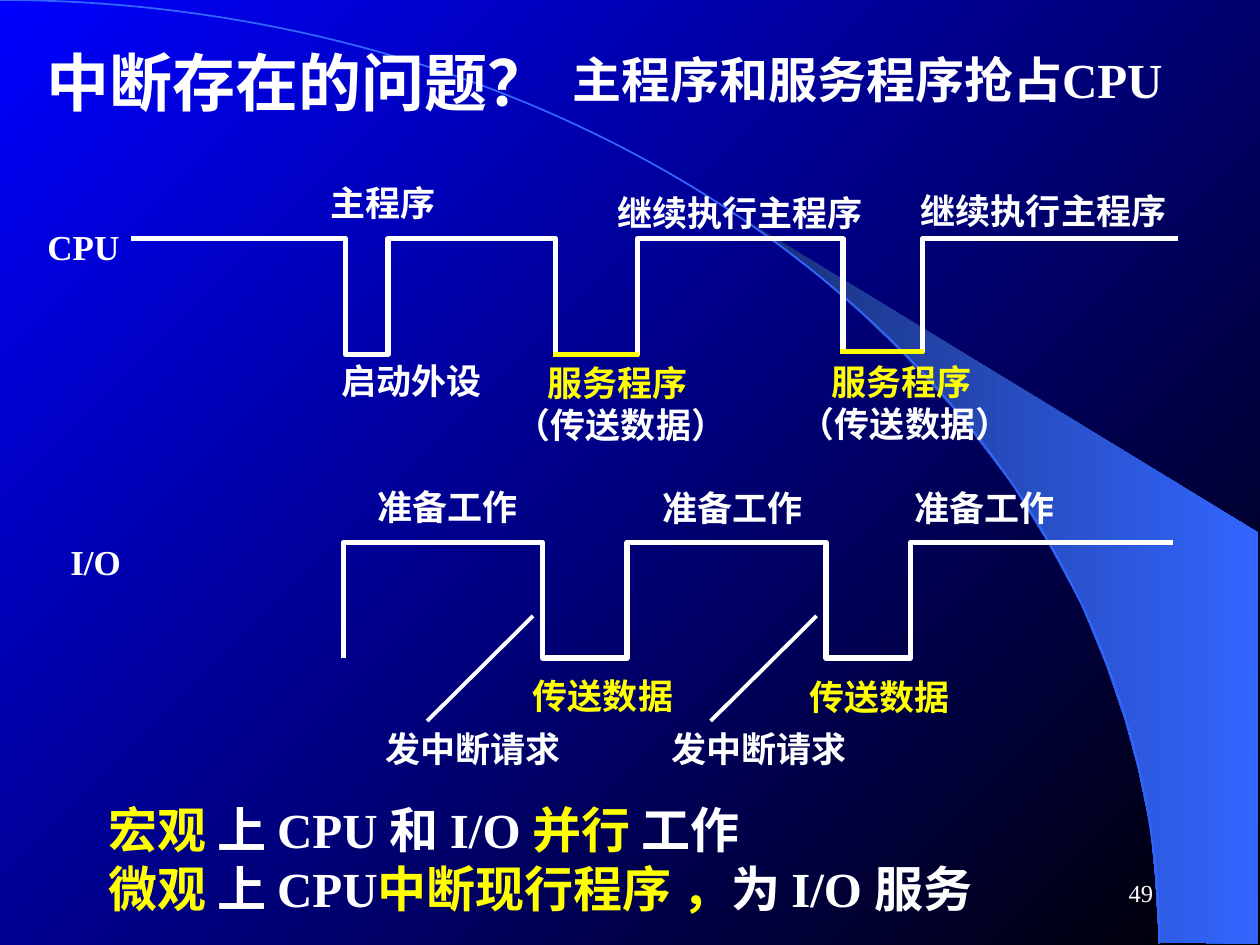
"""Build a slide on interrupts: CPU and I/O timing waveforms with labels."""
from math import cos, pi, sin

from lxml.etree import SubElement
from pptx import Presentation
from pptx.dml.color import RGBColor
from pptx.enum.shapes import MSO_CONNECTOR
from pptx.enum.text import MSO_ANCHOR, MSO_AUTO_SIZE, PP_ALIGN
from pptx.oxml.ns import qn
from pptx.util import Pt

COLORS = {
    "white": "FFFFFF", "yellow": "FFFF00", "blue": "0000FF",
    "black": "000000", "navy": "182F76", "azure": "3366FF",
}
PALETTE = {name: RGBColor.from_string(value) for name, value in COLORS.items()}
FONT = "Times New Roman"

deck = Presentation()
deck.slide_width, deck.slide_height = Pt(720), Pt(540)
page = deck.slides.add_slide(deck.slide_layouts[6])


def add_text(lines, left, top, width, height, size=20, bold=True, wrap=False,
             grow=True, align=PP_ALIGN.LEFT, anchor=MSO_ANCHOR.TOP, indents=(0, 0)):
    box = page.shapes.add_textbox(Pt(left), Pt(top), Pt(width), Pt(height))
    frame = box.text_frame
    frame.word_wrap = wrap
    frame.auto_size = MSO_AUTO_SIZE.SHAPE_TO_FIT_TEXT if grow else MSO_AUTO_SIZE.NONE
    frame.vertical_anchor = anchor
    for index, (line, indent) in enumerate(zip(lines, indents)):
        para = frame.add_paragraph() if index else frame.paragraphs[0]
        para.alignment = align
        if indent:
            para._p.get_or_add_pPr().set("marL", str(Pt(indent)))
        for text, color in line:
            span = para.add_run()
            span.text = text
            span.font.name, span.font.size, span.font.bold = FONT, Pt(size), bold
            span.font.color.rgb = PALETTE[color]


def add_outline(points, line=None, weight=1, closed=False):
    (start_x, start_y), *rest = [(Pt(x), Pt(y)) for x, y in points]
    builder = page.shapes.build_freeform(start_x, start_y)
    builder.add_line_segments(rest, close=closed)
    shape = builder.convert_to_shape()
    shape.shadow.inherit = False
    shape.fill.background()
    if line:
        shape.line.color.rgb = PALETTE[line]
        shape.line.width = Pt(weight)
    else:
        shape.line.fill.background()
    return shape


beam = add_outline([
    (662.4, 538.5), (719.3, 539.3), (719.3, 304.6), (424.1, 124.6), (449.3, 143.3),
    (470.2, 159.8), (493.2, 180), (515.5, 201.6), (548.6, 237.6), (578.2, 276.5),
    (599, 310.3), (617.8, 344.9), (632.2, 380.2), (643, 411.8), (650.2, 438.5),
    (657.4, 472.3), (660.2, 501.1),
], closed=True)
for fill, angle, stops in (
    (page.background.fill, 315, ("blue", "black")),
    (beam.fill, 0, ("navy", "azure")),
):
    fill.gradient()
    fill.gradient_angle = angle
    for stop, color in zip(fill.gradient_stops, stops):
        stop.color.rgb = PALETTE[color]

arc_steps = 90
arc_angles = [pi / 2 * step / arc_steps for step in range(arc_steps + 1)]
add_outline([(662.4 * sin(a), 539.3 * (1 - cos(a))) for a in arc_angles], "azure")

add_text([[("中断存在的问题？", "white")]], 19.4, 21.2, 663, 50.4, size=36, wrap=True)

io_high, io_low = 310, 376
io_wave = []
for rise in (196.3, 358.3, 520.3):
    io_wave += [(rise, io_low), (rise, io_high), (rise + 113.8, io_high), (rise + 113.8, io_low)]
io_wave[-2:] = [(670.3, io_high)]
add_outline(io_wave, "white", 3)

cpu_high = 136.5
cpu_dips = [(197.3, 221.8, 202.5), (317.5, 364.3, 202.5), (481.7, 527, 201)]
cpu_wave = [(74.9, cpu_high)]
for fall, rise, low in cpu_dips:
    cpu_wave += [(fall, cpu_high), (fall, low), (rise, low), (rise, cpu_high)]
add_outline(cpu_wave + [(673.2, cpu_high)], "white", 3)

strokes = [(x, 412, x + 60.5, 352, "white", 2.25) for x in (244.1, 406.1)]
strokes += [(fall - 1.4, low, rise + 1, low, "yellow", 3) for fall, rise, low in cpu_dips[1:]]
for x1, y1, x2, y2, color, weight in strokes:
    stroke = page.shapes.add_connector(MSO_CONNECTOR.STRAIGHT, Pt(x1), Pt(y1), Pt(x2), Pt(y2))
    stroke.line.color.rgb = PALETTE[color]
    stroke.line.width = Pt(weight)
    SubElement(stroke._element.spPr, qn("a:effectLst"))

labels = [
    ("CPU", 20, 125.3, 55.4, "white"),
    ("主程序", 181.8, 100.1, 74.6, "white"),
    ("继续执行主程序", 345.6, 105.8, 157, "white"),
    ("继续执行主程序", 519.1, 104.9, 157, "white"),
    ("启动外设", 187.9, 201.9, 94.6, "white"),
    ("I/O", 33.1, 305.3, 43.2, "white"),
    ("准备工作", 208.8, 273.9, 94.6, "white"),
    ("准备工作", 371.5, 274.3, 94.6, "white"),
    ("准备工作", 515.5, 274.3, 94.6, "white"),
    ("传送数据", 297.4, 381.9, 94.6, "yellow"),
    ("传送数据", 455.4, 382.3, 94.6, "yellow"),
    ("发中断请求", 213.1, 412.1, 115, "white"),
    ("发中断请求", 376.6, 412.1, 115, "white"),
]
for text, left, top, width, color in labels:
    add_text([[(text, color)]], left, top, width, 31.7)

for left, top in ((287.7, 203.3), (450, 202.3)):
    add_text([[("服务程序", "yellow")], [("（传送数据）", "white")]],
             left, top, 135, 55.4, indents=(17.8, 0))

add_text([
    [("宏观 ", "yellow"), ("上 CPU 和 I/O ", "white"), ("并行 ", "yellow"), ("工作", "white")],
    [("微观 ", "yellow"), ("上 CPU", "white"), ("中断现行程序 ，", "yellow"), ("为 I/O 服务", "white")],
], 54.7, 453.2, 577.4, 74.9, size=28, wrap=True)
add_text([[("主程序和服务程序抢占CPU", "white")]], 320.2, 24.5, 374.4, 41, size=28, wrap=True)
add_text([[("49", "white")]], 516.2, 492, 149.8, 36, size=14, bold=False, wrap=True,
         grow=False, align=PP_ALIGN.RIGHT, anchor=MSO_ANCHOR.MIDDLE)

deck.save("out.pptx")
